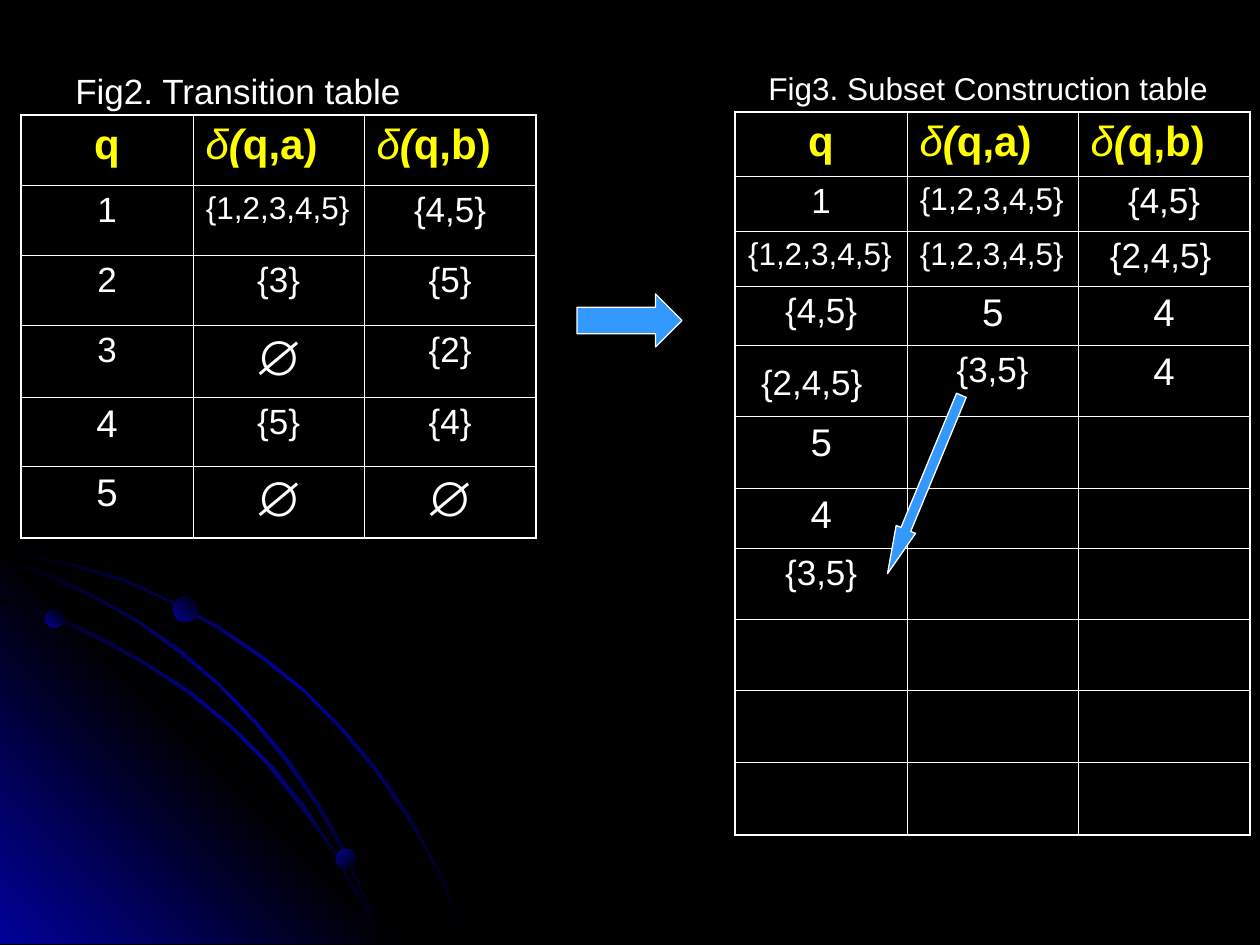
import pptx
import pptx.dml.color
import pptx.enum.shapes
import pptx.enum.text
import pptx.oxml
import pptx.oxml.ns
import pptx.util

PX = 914400 / 126
NAVY, BLACK, WHITE, YELLOW, SKY = "010199", "000000", "FFFFFF", "FFFF00", "3399FF"
SHAPE = pptx.enum.shapes.MSO_SHAPE
ALIGN = pptx.enum.text.PP_ALIGN

OUTER_ARC = [
    (72, 563), (35, 556), (0, 548), (0, 552), (35, 558), (71, 566), (122, 581),
    (170, 602), (218, 629), (262, 659), (304, 692), (341, 730), (375, 771),
    (407, 818), (425, 848), (441, 879), (454, 911), (466, 944), (469, 944),
    (456, 911), (444, 879), (427, 848), (410, 816), (378, 770), (343, 728),
    (305, 690), (263, 656), (219, 626), (171, 601), (123, 578)]
GLOW = [(405, 944), (0, 944), (0, 538)]
INNER_ARC = [
    (359, 900), (370, 922), (379, 944), (382, 944), (373, 920), (360, 897),
    (335, 852), (305, 806), (271, 764), (232, 726), (192, 692), (147, 663),
    (100, 636), (52, 615), (0, 598), (0, 601), (49, 617), (97, 639), (145, 665),
    (189, 694), (231, 728), (268, 766), (302, 809), (334, 853)]
MIDDLE_ARC = [
    (0, 557), (0, 559), (45, 576), (93, 598), (137, 622), (179, 653), (218, 685),
    (255, 724), (286, 762), (318, 808), (336, 840), (353, 874), (368, 910),
    (379, 944), (382, 944), (370, 907), (355, 873), (339, 838), (320, 805),
    (289, 760), (257, 722), (220, 684), (181, 650), (140, 621), (96, 596),
    (49, 573)]

# A cell is a text, or a text with the format that differs from the usual.
BIG = {"size": 22}
EMPTY_SET = ("∅", {"size": 28})
ALL_STATES = ("{1,2,3,4,5}", {"size": 18, "align": ALIGN.LEFT})
TRANSITIONS = [
    ["1", ALL_STATES, "{4,5}"],
    ["2", "{3}", "{5}"],
    ["3", EMPTY_SET, "{2}"],
    [("4", BIG), "{5}", "{4}"],
    [("5", BIG), EMPTY_SET, EMPTY_SET]]
SUBSETS = [
    ["1", ALL_STATES, "{4,5}"],
    [ALL_STATES, ALL_STATES, ("{2,4,5}", {"align": ALIGN.LEFT, "left": 32})],
    ["{4,5}", ("5", BIG), ("4", BIG)],
    [("{2,4,5}", {"align": ALIGN.LEFT, "left": 26, "top": 19}), "{3,5}", ("4", BIG)],
    [("5", BIG)],
    [("4", BIG)],
    ["{3,5}"],
    [], [], []]


def px(length):
    return pptx.util.Emu(round(length * PX))


def color(value):
    return pptx.dml.color.RGBColor.from_string(value)


def xml(body):
    namespace = pptx.oxml.ns.nsdecls("a")
    return pptx.oxml.parse_xml(body.replace(" ", f" {namespace} ", 1))


def add_text(para, text, size=20, tint=WHITE, bold=False, italic=False, align=None):
    span = para.add_run()
    span.text = text
    span.font.name = "Arial"
    span.font.size = pptx.util.Pt(size)
    span.font.bold = bold
    span.font.italic = italic
    span.font.color.rgb = color(tint)
    if align is not None:
        para.alignment = align


def fill_gradient(shape, tints, angle):
    """Spread the tints evenly along the angle, and hide the outline."""
    step = 100000 // (len(tints) - 1)
    stops = "".join(
        f'<a:gs pos="{i * step}"><a:srgbClr val="{tint}"/></a:gs>'
        for i, tint in enumerate(tints))
    shape.fill.background()
    shape.line.fill.background()
    shape.shadow.inherit = False
    blank = shape._element.spPr.find(pptx.oxml.ns.qn("a:noFill"))
    blank.getparent().replace(blank, xml(
        f'<a:gradFill rotWithShape="1"><a:gsLst>{stops}</a:gsLst>'
        f'<a:lin ang="{angle * 60000}" scaled="1"/></a:gradFill>'))


def add_orbits(page):
    """Corner glow with three arcs and the beads on them."""
    arc = [BLACK, NAVY, BLACK]
    for points, tints, angle in [
            (OUTER_ARC, arc, 225), (GLOW, [NAVY, BLACK, NAVY], 135),
            (INNER_ARC, arc, 225), (MIDDLE_ARC, arc, 225)]:
        builder = page.shapes.build_freeform(*points[0], scale=PX)
        builder.add_line_segments(points[1:], close=True)
        fill_gradient(builder.convert_to_shape(), tints, angle)
    for left, top, size, angle in [
            (45, 609, 19, 135), (336, 849, 20, 225), (173, 596, 26, 135)]:
        bead = page.shapes.add_shape(SHAPE.OVAL, px(left), px(top), px(size), px(size))
        fill_gradient(bead, [BLACK, NAVY], angle)


def add_caption(page, left, top, width, height, text, size):
    box = page.shapes.add_textbox(px(left), px(top), px(width), px(height))
    box.text_frame.word_wrap = True
    add_text(box.text_frame.paragraphs[0], text, size=size)


def set_borders(cell, **widths):
    """Draw the sides L, R, T and B in points, in that order."""
    properties = cell._tc.get_or_add_tcPr()
    for i, (side, width) in enumerate(widths.items()):
        properties.insert(i, xml(
            f'<a:ln{side} w="{round(width * 12700)}"><a:solidFill>'
            f'<a:srgbClr val="{WHITE}"/></a:solidFill></a:ln{side}>'))


def fill_header(table):
    add_text(table.cell(0, 0).text_frame.paragraphs[0], "q", size=24,
             tint=YELLOW, bold=True, align=ALIGN.CENTER)
    for column, symbol in enumerate("ab", 1):
        para = table.cell(0, column).text_frame.paragraphs[0]
        add_text(para, "δ", size=24, tint=YELLOW, italic=True)
        add_text(para, "(", size=24, tint=YELLOW, bold=True, italic=True)
        add_text(para, f"q,{symbol})", size=24, tint=YELLOW, bold=True)


def add_state_table(page, left, top, heights, rows):
    widths = [172, 171, 172]
    table = page.shapes.add_table(
        len(heights), len(widths), px(left), px(top),
        px(sum(widths)), px(sum(heights))).table
    table.first_row = table.horz_banding = False
    for column, width in zip(table.columns, widths):
        column.width = px(width)
    for row, height in zip(table.rows, heights):
        row.height = px(height)

    edge, rule = 1.08, 0.45
    last_row, last_column = len(heights) - 1, len(widths) - 1
    for i in range(len(heights)):
        for j in range(len(widths)):
            cell = table.cell(i, j)
            cell.fill.background()
            set_borders(cell, L=rule if j else edge,
                        R=edge if j == last_column else rule,
                        T=rule if i else edge,
                        B=edge if i == last_row else rule)

    fill_header(table)
    for i, row in enumerate(rows, 1):
        for j, entry in enumerate(row):
            text, style = (entry, {}) if isinstance(entry, str) else entry
            style = {"align": ALIGN.CENTER, **style}
            cell = table.cell(i, j)
            cell.margin_left = px(style.pop("left", 13))
            cell.margin_top = px(style.pop("top", 6))
            add_text(cell.text_frame.paragraphs[0], text, **style)


def add_arrow(page, kind, left, top, width, height, head=0.5, turn=0):
    arrow = page.shapes.add_shape(kind, px(left), px(top), px(width), px(height))
    arrow.adjustments[0] = 0.5
    arrow.adjustments[1] = head
    arrow.rotation = turn
    arrow.shadow.inherit = False
    arrow.fill.solid()
    arrow.fill.fore_color.rgb = color(SKY)
    arrow.line.color.rgb = color(WHITE)
    arrow.line.width = pptx.util.Pt(0.75)


def main():
    deck = pptx.Presentation()
    deck.slide_width, deck.slide_height = px(1260), px(945)
    page = deck.slides.add_slide(deck.slide_layouts[6])
    page.background.fill.solid()
    page.background.fill.fore_color.rgb = color(BLACK)

    add_orbits(page)
    add_caption(page, 63, 63, 465, 52, "Fig2. Transition table", 20)
    add_state_table(page, 21, 115, [70, 70, 70, 72, 69, 72], TRANSITIONS)
    add_state_table(page, 735, 112, [64, 55, 55, 59, 71, 72, 60, 72, 71, 72, 72], SUBSETS)
    add_arrow(page, SHAPE.DOWN_ARROW, 914, 388, 21, 193, head=2.28, turn=22.5)
    add_arrow(page, SHAPE.RIGHT_ARROW, 577, 294, 105, 53)
    add_caption(page, 756, 63, 475, 50, "Fig3. Subset Construction table", 18)
    deck.save("out.pptx")


if __name__ == "__main__":
    main()
